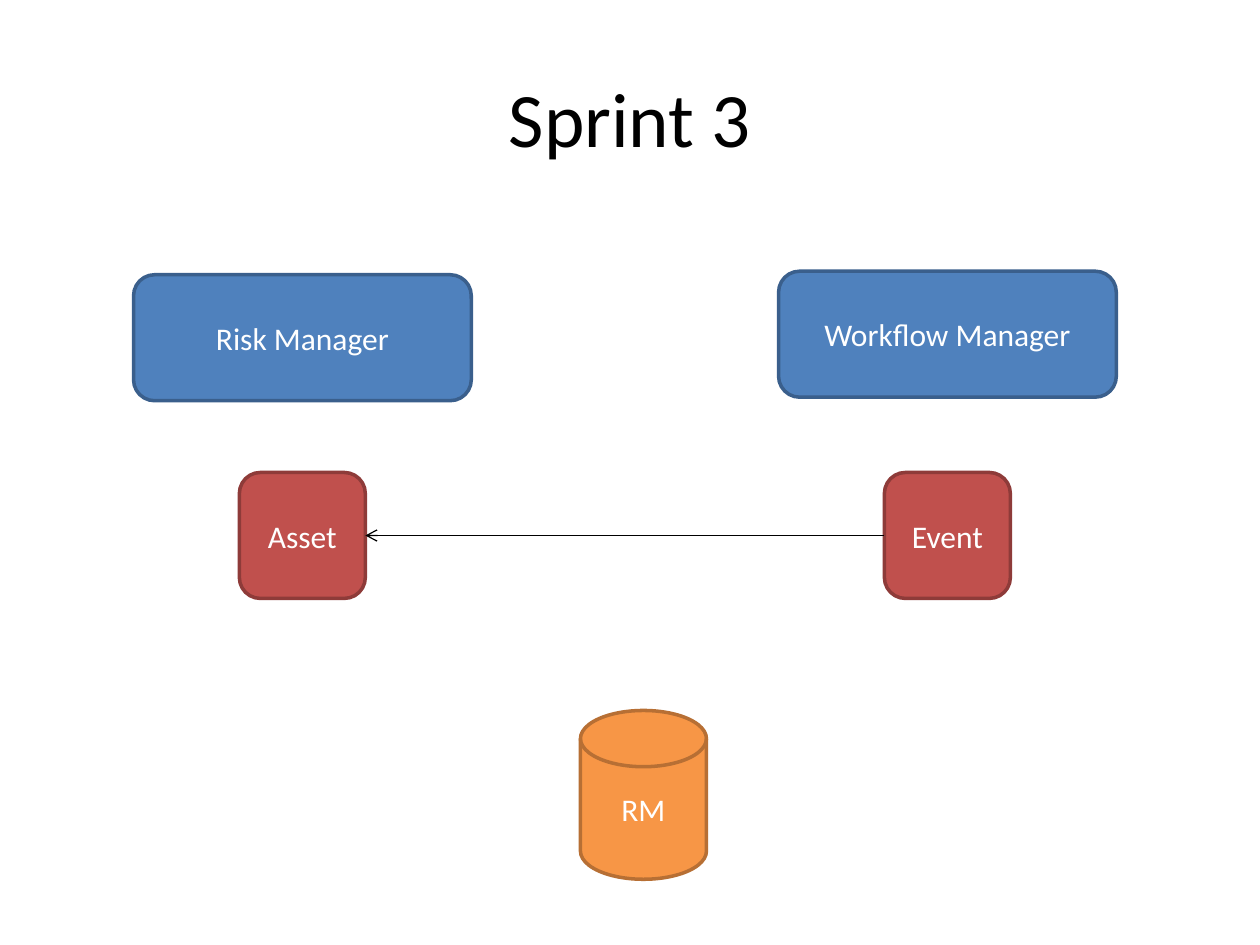
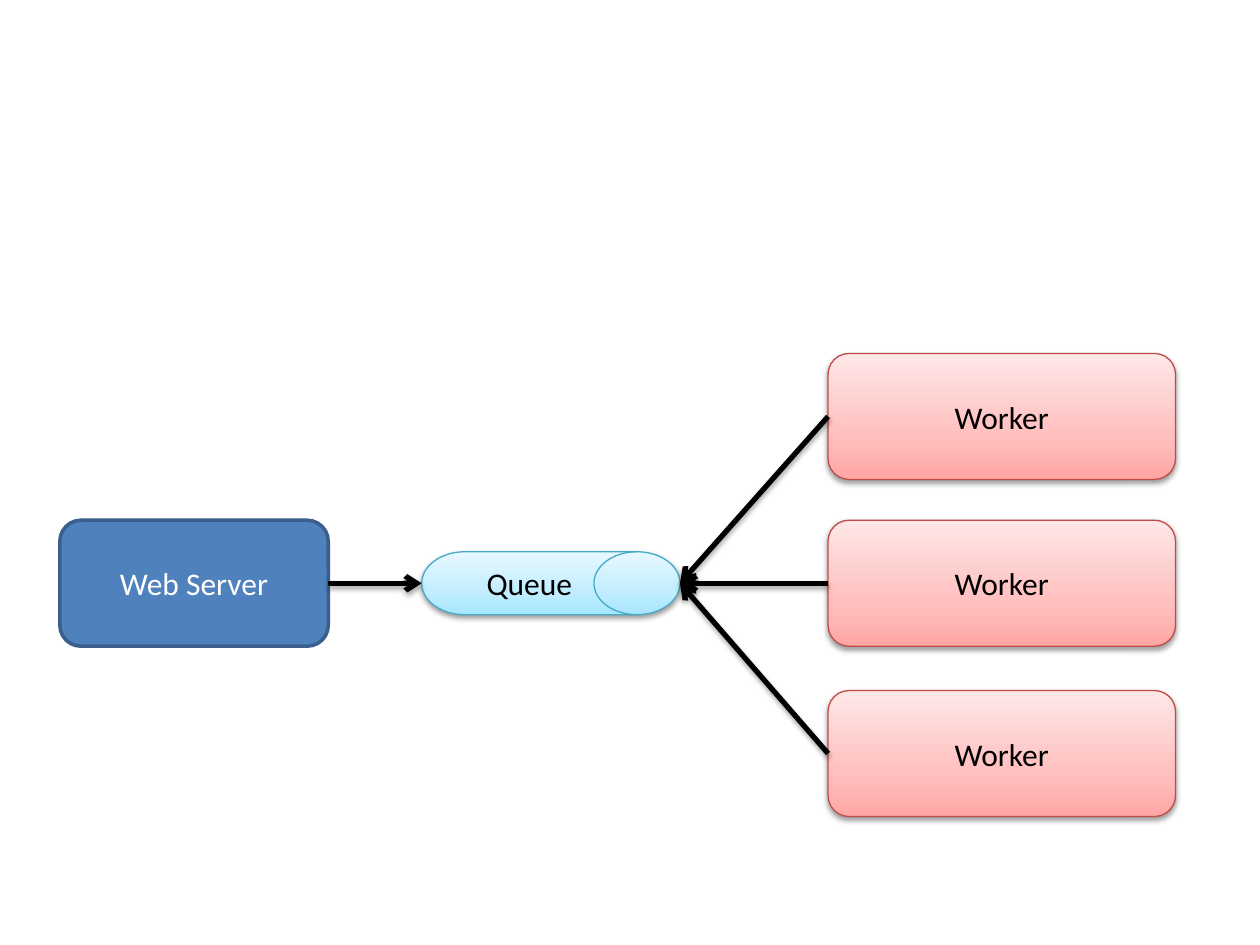
from lxml import etree
from pptx import Presentation
from pptx.dml.color import RGBColor
from pptx.enum.shapes import MSO_CONNECTOR, MSO_SHAPE
from pptx.enum.text import MSO_ANCHOR, PP_ALIGN
from pptx.oxml.ns import qn
from pptx.util import Pt

ROUNDED = MSO_SHAPE.ROUNDED_RECTANGLE
DISK = MSO_SHAPE.FLOWCHART_MAGNETIC_DISK
DRUM = MSO_SHAPE.FLOWCHART_DIRECT_ACCESS_STORAGE
STRAIGHT = MSO_CONNECTOR.STRAIGHT
CENTER = PP_ALIGN.CENTER
MIDDLE = MSO_ANCHOR.MIDDLE
LEFT, RIGHT = 1, 3
TITLE_ONLY, BLANK = 5, 6

BLACK, WHITE = "000000", "FFFFFF"
BLUE = {"fill": "4F81BD", "line": "3A5F8C"}
RED = {"fill": "C0504D", "line": "8E3B39"}
ORANGE = {"fill": "F79646", "line": "B76F34"}
PALE_BLUE = {"fill": ["A7E6FF", "C1EDFF", "E7F8FF"], "line": "46AAC5"}
PALE_RED = {"fill": ["FFA6A5", "FFC0BF", "FFE7E7"], "line": "BF4C48"}


def rgb(value):
    return RGBColor.from_string(value)


def write(shape, text, size=18, color=WHITE, font="Calibri"):
    frame = shape.text_frame
    frame.word_wrap = True
    frame.vertical_anchor = MIDDLE
    paragraph = frame.paragraphs[0]
    paragraph.alignment = CENTER
    run = paragraph.add_run()
    run.text = text
    run.font.name = font
    run.font.size = Pt(size)
    run.font.color.rgb = rgb(color)


def add_color(parent, value):
    return etree.SubElement(parent, qn("a:srgbClr"), val=value)


def fill_gradient(shape, colors):
    shape.fill.gradient()
    shape.fill.gradient_angle = 90
    stops = shape.fill._xPr.find(qn("a:gradFill")).find(qn("a:gsLst"))
    for stop in list(stops):
        stops.remove(stop)
    for position, color in zip((0, 35, 100), colors):
        add_color(etree.SubElement(stops, qn("a:gs"), pos=str(position * 1000)), color)


def cast_shadow(effects, opacity, distance):
    shadow = etree.SubElement(
        effects, qn("a:outerShdw"), blurRad=str(Pt(3.1)),
        dist=str(Pt(distance)), dir="5400000", rotWithShape="0")
    etree.SubElement(add_color(shadow, BLACK), qn("a:alpha"), val=str(opacity * 1000))


class Diagram:
    def __init__(self, width, height):
        self.presentation = Presentation()
        self.presentation.slide_width = Pt(width)
        self.presentation.slide_height = Pt(height)
        self.slide = None

    def new_slide(self, title=None):
        layout = TITLE_ONLY if title else BLANK
        self.slide = self.presentation.slides.add_slide(
            self.presentation.slide_layouts[layout])
        if title:
            shape = self.slide.shapes.title
            shape.left, shape.top = Pt(36), Pt(21.6)
            shape.width, shape.height = Pt(648), Pt(90)
            write(shape, title, size=44, color=BLACK)

    def node(self, text, left, top, width, height, style, kind=ROUNDED):
        shape = self.slide.shapes.add_shape(
            kind, Pt(left), Pt(top), Pt(width), Pt(height))
        shape.shadow.inherit = False
        shape.line.color.rgb = rgb(style["line"])
        shaded = isinstance(style["fill"], list)
        if shaded:
            fill_gradient(shape, style["fill"])
            cast_shadow(shape._element.spPr.find(qn("a:effectLst")), 38, 1.6)
        else:
            shape.fill.solid()
            shape.fill.fore_color.rgb = rgb(style["fill"])
        shape.line.width = Pt(0.75 if shaded else 2)
        write(shape, text, color=BLACK if shaded else WHITE)
        return shape

    def arrow(self, source, source_side, target, target_side, weight, shadow=False):
        end_x = target.left + (target.width if target_side == RIGHT else 0)
        end_y = target.top + target.height // 2
        connector = self.slide.shapes.add_connector(
            STRAIGHT, end_x, end_y, end_x, end_y)
        connector.begin_connect(source, source_side)
        if target.auto_shape_type == ROUNDED:
            connector.end_connect(target, target_side)
        connector.line.color.rgb = rgb(BLACK)
        connector.line.width = Pt(weight)
        properties = connector._element.spPr
        etree.SubElement(properties.find(qn("a:ln")), qn("a:tailEnd"), type="arrow")
        effects = etree.SubElement(properties, qn("a:effectLst"))
        if shadow:
            cast_shadow(effects, 35, 1.8)


def build_sprint(diagram):
    diagram.new_slide("Sprint 3")
    items = []
    for manager, left, top, item in (
            ("Risk Manager", 76.3, 157, "Asset"),
            ("Workflow Manager", 444.9, 155, "Event")):
        diagram.node(manager, left, top, 193, 72, BLUE)
        items.append(diagram.node(item, left + 60.5, 270, 72, 72, RED))
    asset, event = items
    diagram.arrow(event, LEFT, asset, RIGHT, 0.75)
    diagram.node("RM", 331.7, 406, 72, 96.5, ORANGE, DISK)


def build_queue(diagram):
    diagram.new_slide()
    server = diagram.node("Web Server", 34.2, 297.3, 153.4, 72, BLUE)
    queue = diagram.node("Queue", 241, 315.3, 147.6, 36, PALE_BLUE, DRUM)
    workers = [diagram.node("Worker", 473.2, top, 198.6, 72, PALE_RED)
               for top in (202, 297.3, 394.6)]
    diagram.arrow(server, RIGHT, queue, LEFT, 3, shadow=True)
    for worker in workers:
        diagram.arrow(worker, LEFT, queue, RIGHT, 3, shadow=True)


def main():
    diagram = Diagram(720, 540)
    build_sprint(diagram)
    build_queue(diagram)
    diagram.presentation.save("out.pptx")


if __name__ == "__main__":
    main()
